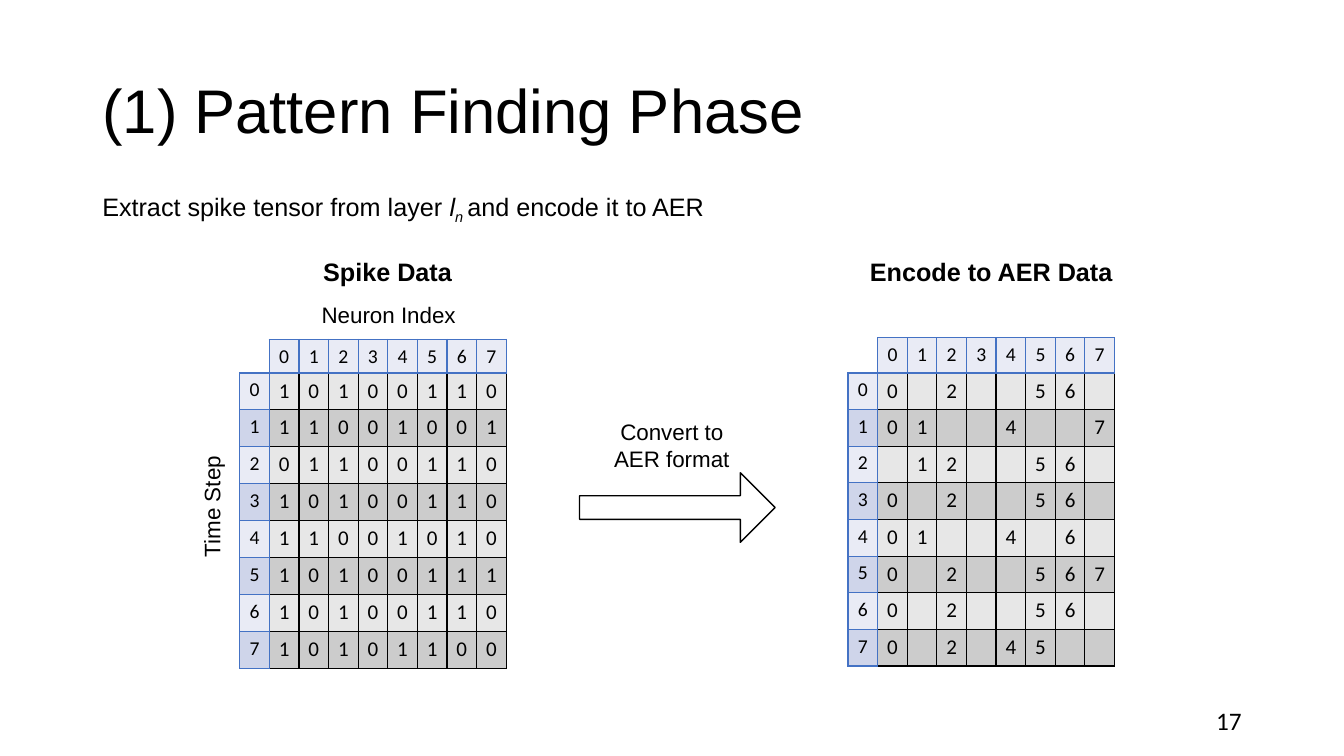
from dataclasses import dataclass, field
from typing import Any

from lxml.etree import SubElement
from pptx import Presentation
from pptx.dml.color import RGBColor
from pptx.enum.shapes import MSO_SHAPE as Preset
from pptx.enum.text import MSO_ANCHOR as Anchor, MSO_AUTO_SIZE as AutoSize, PP_ALIGN as Align
from pptx.oxml.ns import qn
from pptx.util import Pt

COLORS = {
    "text": "000000",
    "grid": "000000",
    "index_grid": "4472C4",
    "data_light": "E7E7E7",
    "data_dark": "CCCCCC",
    "index_light": "E9EBF5",
    "index_dark": "CFD5EA",
}
COLUMN_WIDTH = 21.15
GRID_TOP = 266.4

SPIKES = [
    "10100110",
    "11001001",
    "01100110",
    "10100110",
    "11001010",
    "10100111",
    "10100110",
    "10101100",
]
# AER keeps the neuron index wherever a spike occurs
AER = [[str(i) if spike == "1" else "" for i, spike in enumerate(row)] for row in SPIKES]
INDICES = "01234567"


@dataclass
class Piece:
    text: str
    italic: bool = False
    subscript: bool = False


@dataclass
class Label:
    pieces: list[Piece]
    box: tuple[float, float, float, float]
    font: dict[str, Any]
    paragraph: dict[str, Any] = field(default_factory=dict)
    frame: dict[str, Any] = field(default_factory=dict)
    rotation: float = 0


@dataclass
class Grid:
    rows: list
    left: float
    top: float
    row_height: float
    size: float
    kind: str
    border: str


TITLE = {"name": "Arial", "size": Pt(44)}
LEAD = {"name": "Arial", "size": Pt(18)}
HEADING = {"name": "Arial", "size": Pt(18), "bold": True}
CAPTION = {"name": "Arial", "size": Pt(16)}
PAGE = {"name": "Calibri", "size": Pt(18)}
CENTERED = {"alignment": Align.CENTER}
MIDDLE = {"word_wrap": True, "vertical_anchor": Anchor.MIDDLE}
ONE_LINE = {"word_wrap": False, "auto_size": AutoSize.SHAPE_TO_FIT_TEXT}
WRAPPED = {"word_wrap": True, "auto_size": AutoSize.SHAPE_TO_FIT_TEXT}

LABELS = [
    Label([Piece("(1) Pattern Finding Phase")], (66, 28.8, 828, 104.4), TITLE,
          {"line_spacing": 0.9}, MIDDLE),
    Label([Piece("17")], (678, 500.4, 216, 28.8), PAGE, {"alignment": Align.RIGHT}, MIDDLE),
    Label([Piece("Extract spike tensor from layer "), Piece("l", italic=True),
           Piece("n ", italic=True, subscript=True), Piece("and encode it to AER")],
          (66, 133.2, 451.4, 28.8), LEAD, {}, ONE_LINE),
    Label([Piece("Neuron Index")], (221.8, 211.7, 111.6, 26.6), CAPTION, CENTERED, ONE_LINE),
    Label([Piece("Time Step")], (107.3, 348.5, 87.8, 26.6), CAPTION, CENTERED, ONE_LINE, 270),
    Label([Piece("Spike Data")], (223.2, 179.3, 107.3, 28.8), HEADING, CENTERED, ONE_LINE),
    Label([Piece("Encode to AER Data")], (613.4, 179.3, 189.4, 28.8), HEADING, CENTERED, ONE_LINE),
    Label([Piece("Convert to AER format")], (421.2, 295.2, 117.4, 46.1), CAPTION, CENTERED, WRAPPED),
]


def rgb(name: str) -> RGBColor:
    return RGBColor.from_string(COLORS[name])


def apply(target: Any, formats: dict[str, Any]) -> None:
    for name, value in formats.items():
        setattr(target, name, value)


def add_label(slide: Any, label: Label) -> None:
    box = slide.shapes.add_textbox(*map(Pt, label.box))
    box.rotation = label.rotation
    apply(box.text_frame, label.frame)
    paragraph = box.text_frame.paragraphs[0]
    apply(paragraph, label.paragraph)
    for piece in label.pieces:
        run = paragraph.add_run()
        run.text = piece.text
        apply(run.font, label.font | {"italic": piece.italic})
        run.font.color.rgb = rgb("text")
        if piece.subscript:
            run.font._element.set("baseline", "-25000")


def add_borders(cell: Any, color: str) -> None:
    properties = cell._tc.get_or_add_tcPr()
    for side in ("a:lnL", "a:lnR", "a:lnT", "a:lnB"):
        line = SubElement(properties, qn(side), w=str(Pt(1)))
        fill = SubElement(line, qn("a:solidFill"))
        SubElement(fill, qn("a:srgbClr"), val=COLORS[color])


def add_grid(slide: Any, grid: Grid) -> None:
    row_count, column_count = len(grid.rows), len(grid.rows[0])
    table = slide.shapes.add_table(
        row_count, column_count, Pt(grid.left), Pt(grid.top),
        Pt(COLUMN_WIDTH * column_count), Pt(grid.row_height * row_count)).table
    apply(table, {"first_row": False, "horz_banding": False})
    for column in table.columns:
        column.width = Pt(COLUMN_WIDTH)
    for r, values in enumerate(grid.rows):
        table.rows[r].height = Pt(grid.row_height)
        shade = "dark" if r % 2 else "light"
        for c, value in enumerate(values):
            cell = table.cell(r, c)
            apply(cell, {"margin_left": 0, "margin_right": 0, "margin_bottom": 0})
            add_borders(cell, grid.border)
            cell.fill.solid()
            cell.fill.fore_color.rgb = rgb(f"{grid.kind}_{shade}")
            paragraph = cell.text_frame.paragraphs[0]
            paragraph.alignment = Align.CENTER
            if value:
                run = paragraph.add_run()
                run.text = value
                apply(run.font, {"name": "Calibri", "size": Pt(grid.size)})
                run.font.color.rgb = rgb("text")


def add_indexed_grid(slide: Any, rows: list, left: float, row_height: float,
                     header_height: float) -> None:
    """Draw the data with neuron indices above it and time steps to its left."""
    add_grid(slide, Grid(rows, left, GRID_TOP, row_height, 15, "data", "grid"))
    add_grid(slide, Grid([INDICES], left, GRID_TOP - header_height, header_height,
                         14, "index", "index_grid"))
    add_grid(slide, Grid(list(INDICES), left - COLUMN_WIDTH, GRID_TOP, row_height,
                         14, "index", "index_grid"))


def add_conversion_arrow(slide: Any) -> None:
    arrow = slide.shapes.add_shape(Preset.RIGHT_ARROW, Pt(414), Pt(337.7), Pt(139.7), Pt(49.7))
    arrow.adjustments[0] = 0.34
    arrow.adjustments[1] = 0.5
    arrow.shadow.inherit = False
    arrow.fill.background()
    arrow.line.color.rgb = rgb("grid")
    arrow.line.width = Pt(1)


def main() -> None:
    presentation = Presentation()
    apply(presentation, {"slide_width": Pt(960), "slide_height": Pt(540)})
    slide = presentation.slides.add_slide(presentation.slide_layouts[6])
    add_indexed_grid(slide, SPIKES, left=192.4, row_height=26.37, header_height=24)
    add_indexed_grid(slide, AER, left=626.9, row_height=26.19, header_height=25.2)
    add_conversion_arrow(slide)
    for label in LABELS:
        add_label(slide, label)
    presentation.save("out.pptx")


if __name__ == "__main__":
    main()
